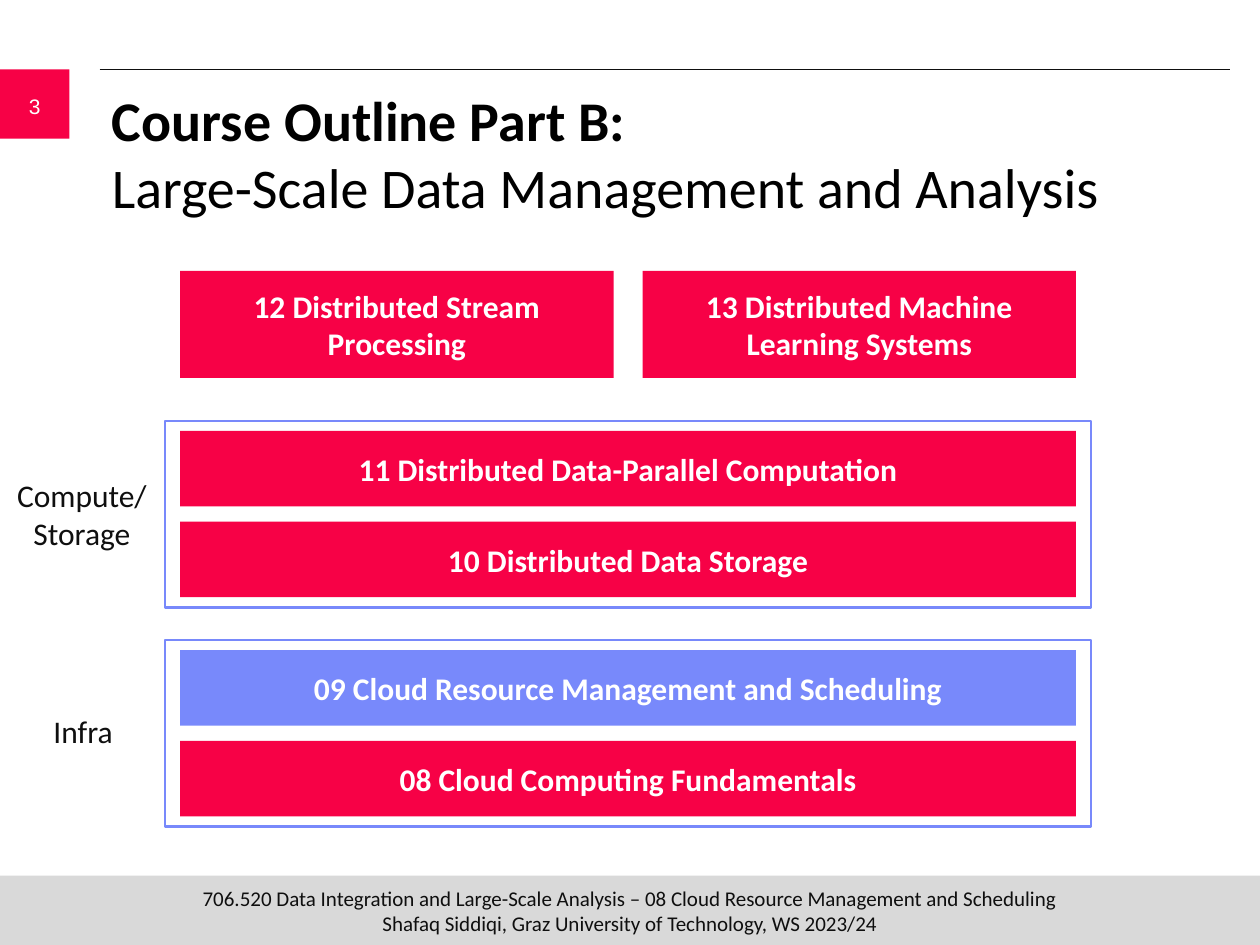
from dataclasses import dataclass
from typing import Optional

import pptx
import pptx.dml.color
import pptx.enum.shapes
import pptx.enum.text
import pptx.oxml.ns
import pptx.util
from lxml import etree

Align = pptx.enum.text.PP_ALIGN
Anchor = pptx.enum.text.MSO_ANCHOR

COLUMNS, ROWS = 100, 75
CELL = pptx.util.Inches(0.1)


@dataclass(frozen=True)
class Theme:
    red: str = "F70146"
    blue: str = "7889FB"
    gray: str = "D9D9D9"
    ink: str = "0F0F0F"
    black: str = "000000"
    white: str = "FFFFFF"
    font: str = "Calibri"
    number_font: str = "Arial"
    title_size: int = 32
    body_size: int = 18
    small_size: int = 12


THEME = Theme()


@dataclass(frozen=True)
class Box:
    """An area of the slide grid, in columns and rows."""
    column: float
    row: float
    columns: float
    rows: float

    def emu(self) -> list[int]:
        return [round(cells * CELL) for cells in (self.column, self.row, self.columns, self.rows)]


@dataclass(frozen=True)
class Style:
    size: int = THEME.body_size
    color: str = THEME.ink
    bold: bool = False
    font: str = THEME.font


@dataclass(frozen=True)
class Lecture:
    title: str
    current: bool = False


@dataclass(frozen=True)
class Group:
    label: str
    row: float
    label_box: Box
    lectures: tuple[Lecture, ...]


BAR_COLUMN, BAR_COLUMNS, BAR_ROWS, BAR_GAP = 14.3, 71.1, 6, 1.2
TOPIC_ROW, TOPIC_ROWS, TOPIC_GAP = 21.5, 8.5, 2.3
FRAME_SIDE, FRAME_TOP = 1.2, 0.8

TOPICS = (
    Lecture("12 Distributed Stream\nProcessing"),
    Lecture("13 Distributed Machine Learning Systems"),
)
GROUPS = (
    Group("Compute/\nStorage", 33.4, Box(0.2, 37.3, 12.6, 7.1), (
        Lecture("11 Distributed Data-Parallel Computation"),
        Lecture("10 Distributed Data Storage"),
    )),
    Group("Infra", 50.8, Box(0.3, 56, 12.6, 4), (
        Lecture("09 Cloud Resource Management and Scheduling", current=True),
        Lecture("08 Cloud Computing Fundamentals"),
    )),
)


def rgb(color: str) -> pptx.dml.color.RGBColor:
    return pptx.dml.color.RGBColor.from_string(color)


def add_lines(paragraph, text: str, style: Style) -> None:
    """Add one run per line, with line breaks between them."""
    for index, line in enumerate(text.split("\n")):
        if index:
            paragraph.add_line_break()
        run = paragraph.add_run()
        run.text = line
        run.font.name = style.font
        run.font.size = pptx.util.Pt(style.size)
        run.font.bold = style.bold
        run.font.color.rgb = rgb(style.color)


def add_rectangle(slide, box: Box, fill: Optional[str] = None, line: Optional[str] = None):
    shape = slide.shapes.add_shape(pptx.enum.shapes.MSO_SHAPE.RECTANGLE, *box.emu())
    shape.shadow.inherit = False
    if fill:
        shape.fill.solid()
        shape.fill.fore_color.rgb = rgb(fill)
    else:
        shape.fill.background()
    if line:
        shape.line.color.rgb = rgb(line)
        shape.line.width = pptx.util.Pt(1.5)
    else:
        shape.line.fill.background()
    return shape


def add_text(slide, box: Box, text: str, style: Style, anchor=Anchor.TOP, inset_rows: float = 0.5):
    """Add a centred text box without side insets."""
    frame = slide.shapes.add_textbox(*box.emu()).text_frame
    frame.word_wrap = True
    frame.vertical_anchor = anchor
    frame.margin_left = frame.margin_right = 0
    frame.margin_top = frame.margin_bottom = round(inset_rows * CELL)
    frame.paragraphs[0].alignment = Align.CENTER
    add_lines(frame.paragraphs[0], text, style)


def add_lecture(slide, box: Box, lecture: Lecture) -> None:
    shape = add_rectangle(slide, box, THEME.blue if lecture.current else THEME.red)
    frame = shape.text_frame
    frame.word_wrap = True
    frame.vertical_anchor = Anchor.MIDDLE
    frame.paragraphs[0].alignment = Align.CENTER
    add_lines(frame.paragraphs[0], lecture.title, Style(color=THEME.white, bold=True))


def add_group(slide, group: Group) -> None:
    count = len(group.lectures)
    for index, lecture in enumerate(group.lectures):
        row = group.row + FRAME_TOP + index * (BAR_ROWS + BAR_GAP)
        add_lecture(slide, Box(BAR_COLUMN, row, BAR_COLUMNS, BAR_ROWS), lecture)
    frame_rows = 2 * FRAME_TOP + count * BAR_ROWS + (count - 1) * BAR_GAP
    frame = Box(BAR_COLUMN - FRAME_SIDE, group.row, BAR_COLUMNS + 2 * FRAME_SIDE, frame_rows)
    add_rectangle(slide, frame, line=THEME.blue)
    add_text(slide, group.label_box, group.label, Style())


def add_topics(slide) -> None:
    columns = (BAR_COLUMNS - TOPIC_GAP * (len(TOPICS) - 1)) / len(TOPICS)
    for index, topic in enumerate(TOPICS):
        column = BAR_COLUMN + index * (columns + TOPIC_GAP)
        add_lecture(slide, Box(column, TOPIC_ROW, columns, TOPIC_ROWS), topic)


def add_header_rule(slide) -> None:
    start, end, row = (round(cells * CELL) for cells in (7.9, 97.6, 5.5))
    rule = slide.shapes.add_connector(pptx.enum.shapes.MSO_CONNECTOR.STRAIGHT, start, row, end, row)
    rule.line.color.rgb = rgb(THEME.ink)
    rule.line.width = pptx.util.Pt(0.5)
    etree.SubElement(rule._element.spPr, pptx.oxml.ns.qn("a:effectLst"))


def add_page_frame(slide) -> None:
    """Draw the footer band, header rule and page number."""
    footer = Box(0, 69.5, COLUMNS, 5.5)
    small = Style(size=THEME.small_size)
    add_rectangle(slide, footer, THEME.gray)
    add_header_rule(slide)
    add_rectangle(slide, Box(0, 5.5, 5.5, 5.5), THEME.red)
    number = Style(THEME.small_size, THEME.white, font=THEME.number_font)
    add_text(slide, Box(0, 6.4, 5.5, 4), "3", number, Anchor.MIDDLE)
    add_text(
        slide, footer,
        "706.520 Data Integration and Large-Scale Analysis – 08 Cloud Resource Management and Scheduling\n"
        "Shafaq Siddiqi, Graz University of Technology, WS 2023/24",
        small, Anchor.MIDDLE, inset_rows=0,
    )


def add_title(slide) -> None:
    frame = slide.shapes.add_textbox(*Box(7.9, 6.3, 89.6, 8.3).emu()).text_frame
    frame.word_wrap = True
    paragraph = frame.paragraphs[0]
    add_lines(paragraph, "Course Outline Part B:", Style(THEME.title_size, THEME.black, bold=True))
    paragraph.add_line_break()
    add_lines(paragraph, "Large-Scale Data Management and Analysis", Style(THEME.title_size, THEME.black))


def main() -> None:
    presentation = pptx.Presentation()
    presentation.slide_width = COLUMNS * CELL
    presentation.slide_height = ROWS * CELL
    slide = presentation.slides.add_slide(presentation.slide_layouts[6])
    add_page_frame(slide)
    add_title(slide)
    add_topics(slide)
    for group in GROUPS:
        add_group(slide, group)
    presentation.save("out.pptx")


if __name__ == "__main__":
    main()
